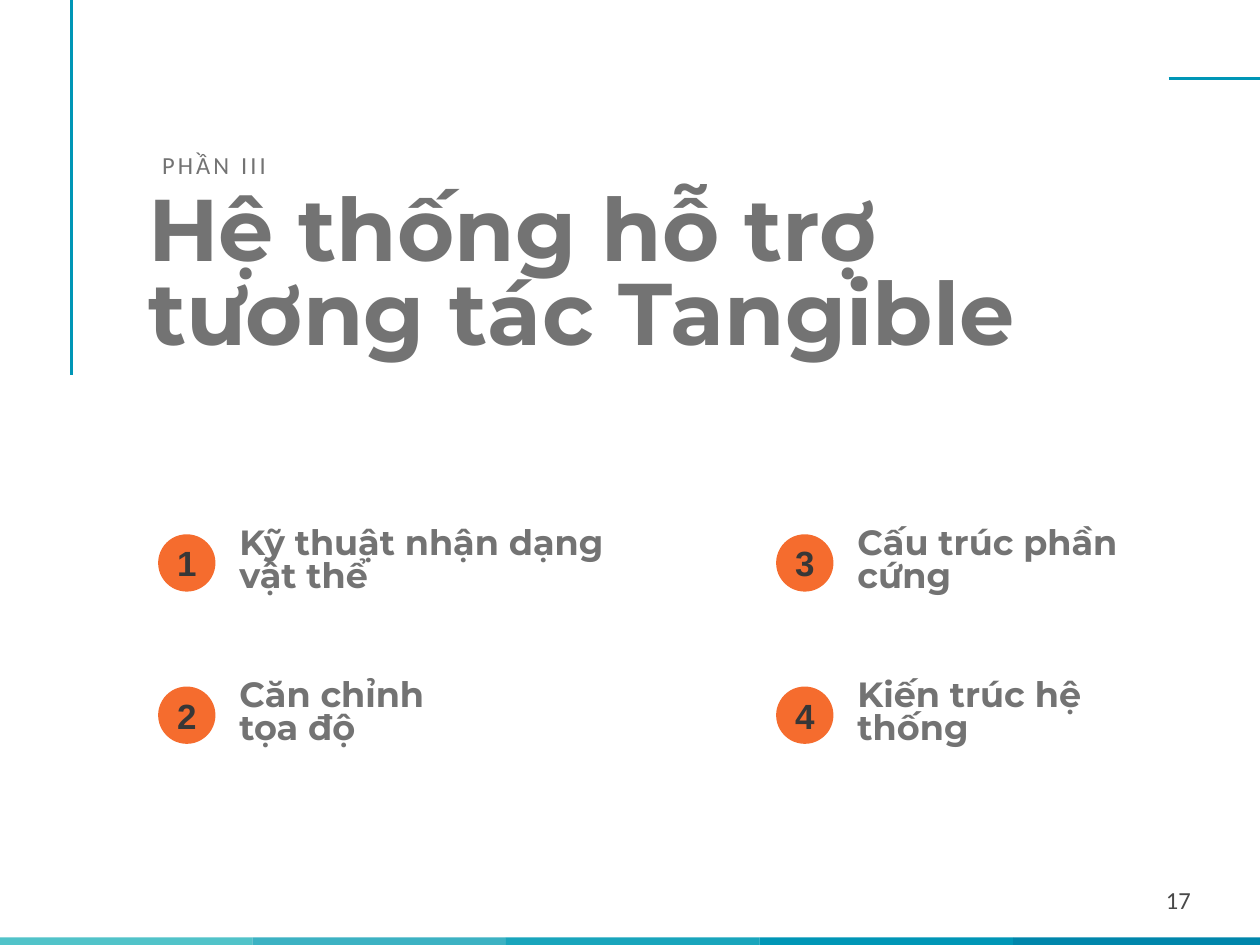
from lxml.etree import SubElement
from pptx import Presentation
from pptx.dml.color import RGBColor
from pptx.enum.shapes import MSO_CONNECTOR, MSO_SHAPE
from pptx.enum.text import MSO_ANCHOR, PP_ALIGN
from pptx.oxml.ns import qn
from pptx.util import Pt

WHITE = RGBColor(0xFF, 0xFF, 0xFF)
GRAY = RGBColor(0x73, 0x73, 0x73)
DARK = RGBColor(0x37, 0x37, 0x37)
PAGE_GRAY = RGBColor(0x49, 0x49, 0x49)
TEAL = RGBColor(0x00, 0x96, 0xB6)
ORANGE = RGBColor(0xF5, 0x6C, 0x2E)
BAR_COLORS = [
    RGBColor(0x51, 0xC3, 0xC9),
    RGBColor(0x3C, 0xB2, 0xC3),
    RGBColor(0x19, 0xA5, 0xBC),
    TEAL,
    RGBColor(0x00, 0x86, 0xAB),
]

LABEL = {"size": Pt(28), "name": "Calibri", "bold": False}
TITLE = {"size": Pt(100), "name": "Montserrat", "bold": True}
ITEM = {"size": Pt(40), "name": "Montserrat", "bold": True}
NUMBER = {"size": Pt(40), "name": "Arial", "bold": True}

ITEMS = [
    ("Kỹ thuật nhận dạng vật thể", 458),
    ("Căn chỉnh tọa độ", 288),
    ("Cấu trúc phần cứng", 332.6),
    ("Kiến trúc hệ thống", 314.6),
]
ROWS = 2
COLUMN_GAP, ROW_GAP = 706.3, 174


def write(sp, text, fmt, color, inset=3, align=PP_ALIGN.LEFT,
          anchor=MSO_ANCHOR.MIDDLE, line_spacing=1.0):
    tf = sp.text_frame
    frame = {"word_wrap": True, "vertical_anchor": anchor}
    for side in ("left", "top", "right", "bottom"):
        frame[f"margin_{side}"] = Pt(inset)
    for key, value in frame.items():
        setattr(tf, key, value)
    p = tf.paragraphs[0]
    p.alignment = align
    p.line_spacing = line_spacing
    r = p.add_run()
    r.text = text
    for key, value in fmt.items():
        setattr(r.font, key, value)
    r.font.color.rgb = color
    return r


def add_text(s, box, text, fmt, color, **options):
    sp = s.shapes.add_textbox(*map(Pt, box))
    return write(sp, text, fmt, color, **options)


def add_filled(s, kind, box, color):
    sp = s.shapes.add_shape(kind, *map(Pt, box))
    sp.shadow.inherit = False
    sp.fill.solid()
    sp.fill.fore_color.rgb = color
    sp.line.fill.background()
    return sp


def add_line(s, *ends):
    line = s.shapes.add_connector(MSO_CONNECTOR.STRAIGHT, *map(Pt, ends))
    line.line.color.rgb = TEAL
    line.line.width = Pt(4)
    SubElement(line._element.spPr, qn("a:effectLst"))


def add_footer(s, page):
    pitch = 289.8
    for i, color in enumerate(BAR_COLORS):
        add_filled(s, MSO_SHAPE.RECTANGLE,
                   (i * pitch - 1.4, 1071.4, pitch, 14.4), color)
    add_text(s, (1044, 1000, 324, 57.6), page, LABEL, PAGE_GRAY,
             inset=7.2, align=PP_ALIGN.RIGHT)


def add_heading(s, section, title):
    r = add_text(s, (182.2, 167.8, 305.3, 40.3), section, LABEL, GRAY)
    r._r.get_or_add_rPr().set("spc", "360")
    add_text(s, (166.3, 219.6, 1002.2, 249.8), title, TITLE, GRAY,
             anchor=MSO_ANCHOR.TOP, line_spacing=0.8)


def add_item(s, index, text, width):
    column, row = divmod(index, ROWS)
    left, top = 180.7 + column * COLUMN_GAP, 610.6 + row * ROW_GAP
    sp = add_filled(s, MSO_SHAPE.OVAL, (left, top, 65.5, 65.5), ORANGE)
    write(sp, str(index + 1), NUMBER, DARK, align=PP_ALIGN.CENTER)
    add_text(s, (left + 90, top + 8.4, width, 46), text, ITEM, GRAY,
             line_spacing=0.8)


def main():
    prs = Presentation()
    prs.slide_width, prs.slide_height = Pt(1440), Pt(1080)
    s = prs.slides.add_slide(prs.slide_layouts[6])
    s.background.fill.solid()
    s.background.fill.fore_color.rgb = WHITE
    add_footer(s, "17")
    add_line(s, 82, 0, 82, 428.4)
    add_line(s, 1335.6, 90, 1440, 90)
    add_heading(s, "PHẦN III", "Hệ thống hỗ trợ tương tác Tangible")
    for index, (text, width) in enumerate(ITEMS):
        add_item(s, index, text, width)
    prs.save("out.pptx")


if __name__ == "__main__":
    main()
